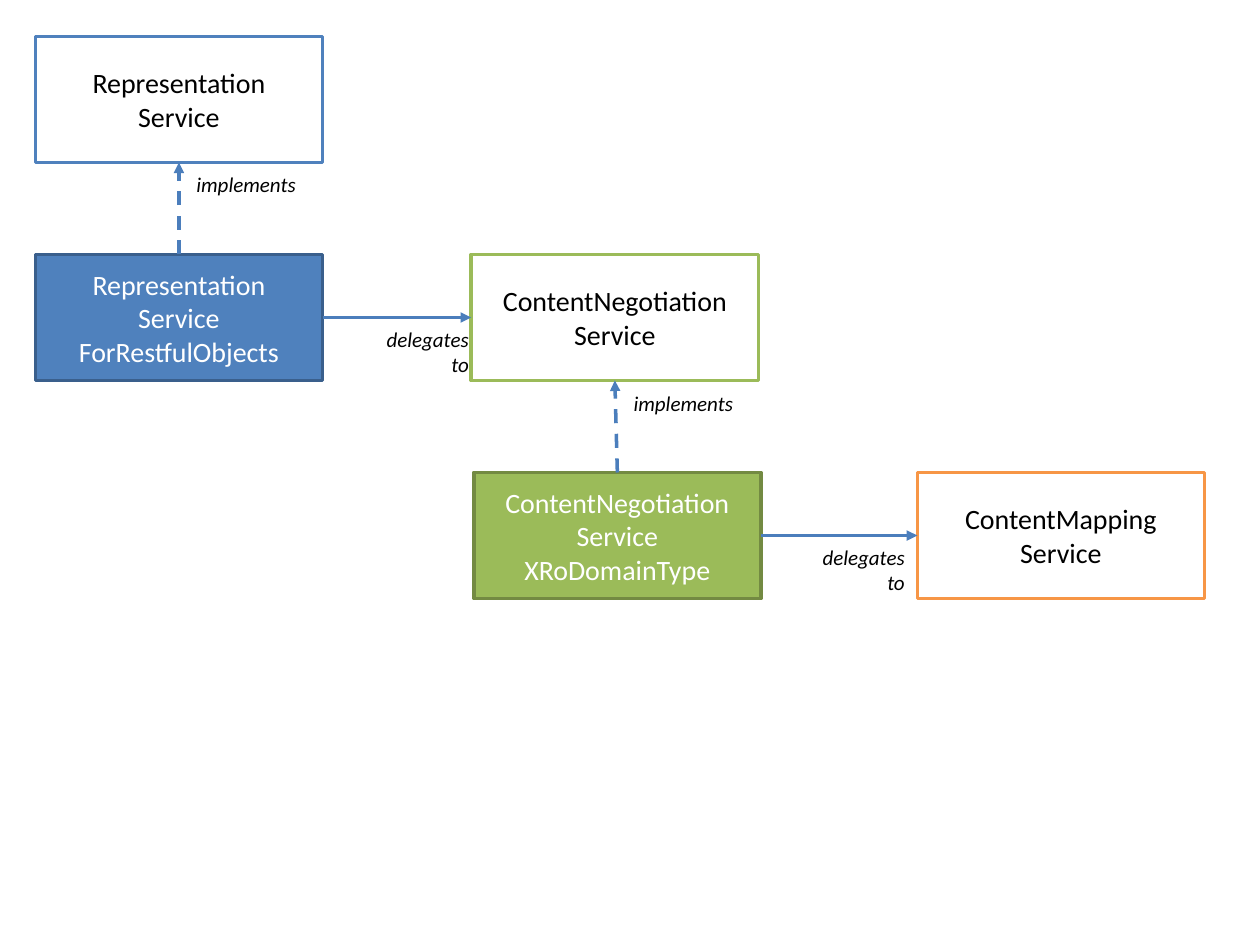
import dataclasses

import lxml.etree
import pptx
import pptx.dml.color
import pptx.enum.dml
import pptx.enum.shapes
import pptx.enum.text
import pptx.oxml.ns
import pptx.util

ALIGN = pptx.enum.text.PP_ALIGN
TOP, LEFT, BOTTOM, RIGHT = range(4)


@dataclasses.dataclass(frozen=True)
class Theme:
    """Colours, type and line weight of the diagram."""
    font: str = "Calibri"
    box_size: int = 16
    label_size: int = 12
    line_width: int = 2
    dark: str = "000000"
    light: str = "FFFFFF"
    blue: str = "4F81BD"
    blue_edge: str = "3A5F8C"
    green: str = "9BBB59"
    green_edge: str = "738A42"
    orange: str = "F79646"
    arrow: str = "4B7EBC"


THEME = Theme()
COLUMNS = (0.28, 3.74, 7.28)
FIRST_ROW, ROW_PITCH = 0.29, 1.73
BOX_WIDTH, BOX_HEIGHT = 2.28, 1


def inches(*lengths):
    """Convert several lengths to inches."""
    return [pptx.util.Inches(length) for length in lengths]


def colour(code):
    """Return the colour for a hex code."""
    return pptx.dml.color.RGBColor.from_string(code)


def cell(column, row):
    """Return the left and top of a grid cell."""
    return COLUMNS[column], FIRST_ROW + row * ROW_PITCH


def write(frame, paragraphs, size, ink, align, italic=False):
    """Fill a text frame; a newline inside a paragraph is a line break."""
    for index, text in enumerate(paragraphs):
        para = frame.paragraphs[0] if index == 0 else frame.add_paragraph()
        para.alignment = align
        for number, line in enumerate(text.split("\n")):
            if number:
                para.add_line_break()
            span = para.add_run()
            span.text = line
            span.font.name = THEME.font
            span.font.size = pptx.util.Pt(size)
            span.font.italic = italic
            span.font.color.rgb = colour(ink)


def add_box(page, column, row, paragraphs, edge, fill=THEME.light,
            ink=THEME.dark, shift=0):
    """Add a service box in a grid cell."""
    left, top = cell(column, row)
    box = page.shapes.add_shape(
        pptx.enum.shapes.MSO_SHAPE.RECTANGLE,
        *inches(left + shift, top, BOX_WIDTH, BOX_HEIGHT))
    box.shadow.inherit = False
    box.fill.solid()
    box.fill.fore_color.rgb = colour(fill)
    box.line.color.rgb = colour(edge)
    box.line.width = pptx.util.Pt(THEME.line_width)
    box.text_frame.word_wrap = True
    box.text_frame.vertical_anchor = pptx.enum.text.MSO_ANCHOR.MIDDLE
    write(box.text_frame, paragraphs, THEME.box_size, ink, ALIGN.CENTER)
    return box


def add_arrow(page, source, source_side, target, target_side, dashed=False):
    """Join two boxes with an arrow."""
    arrow = page.shapes.add_connector(
        pptx.enum.shapes.MSO_CONNECTOR.STRAIGHT, 0, 0, 0, 0)
    arrow.begin_connect(source, source_side)
    arrow.end_connect(target, target_side)
    arrow.line.color.rgb = colour(THEME.arrow)
    arrow.line.width = pptx.util.Pt(THEME.line_width)
    if dashed:
        arrow.line.dash_style = pptx.enum.dml.MSO_LINE.DASH
    qn = pptx.oxml.ns.qn
    properties = arrow.element.spPr
    head = lxml.etree.SubElement(properties.find(qn("a:ln")), qn("a:tailEnd"))
    head.set("type", "triangle")
    lxml.etree.SubElement(properties, qn("a:effectLst"))


def add_label(page, left, top, width, height, text, align):
    """Add an italic label beside an arrow."""
    label = page.shapes.add_textbox(*inches(left, top, width, height))
    label.text_frame.word_wrap = False
    label.text_frame.auto_size = pptx.enum.text.MSO_AUTO_SIZE.SHAPE_TO_FIT_TEXT
    write(label.text_frame, [text], THEME.label_size, THEME.dark, align, True)


def add_implements(page, source, target, left, top):
    """Link an implementation to the service above it."""
    add_arrow(page, source, TOP, target, BOTTOM, dashed=True)
    add_label(page, left, top, 1.01, 0.3, "implements", ALIGN.LEFT)


def add_delegates(page, source, target, left, top):
    """Link a service to the one on its right."""
    add_arrow(page, source, RIGHT, target, LEFT)
    add_label(page, left, top, 0.86, 0.5, "delegates\nto", ALIGN.RIGHT)


def main():
    """Build the service diagram."""
    deck = pptx.Presentation()
    deck.slide_width, deck.slide_height = inches(10, 7.5)
    page = deck.slides.add_slide(deck.slide_layouts[6])

    representation = add_box(
        page, 0, 0, ["Representation\nService"], THEME.blue)
    restful = add_box(
        page, 0, 1, ["Representation", "Service", "ForRestfulObjects"],
        THEME.blue_edge, THEME.blue, THEME.light)
    negotiation = add_box(
        page, 1, 1, ["ContentNegotiation", "Service"], THEME.green)
    domain_type = add_box(
        page, 1, 2, ["ContentNegotiation", "Service", "XRoDomainType"],
        THEME.green_edge, THEME.green, THEME.light, shift=0.02)
    mapping = add_box(
        page, 2, 2, ["ContentMapping", "Service"], THEME.orange)

    add_implements(page, restful, representation, 1.46, 1.31)
    add_implements(page, domain_type, negotiation, 4.93, 3.05)
    add_delegates(page, restful, negotiation, 2.96, 2.54)
    add_delegates(page, domain_type, mapping, 6.42, 4.27)

    deck.save("out.pptx")


if __name__ == "__main__":
    main()
